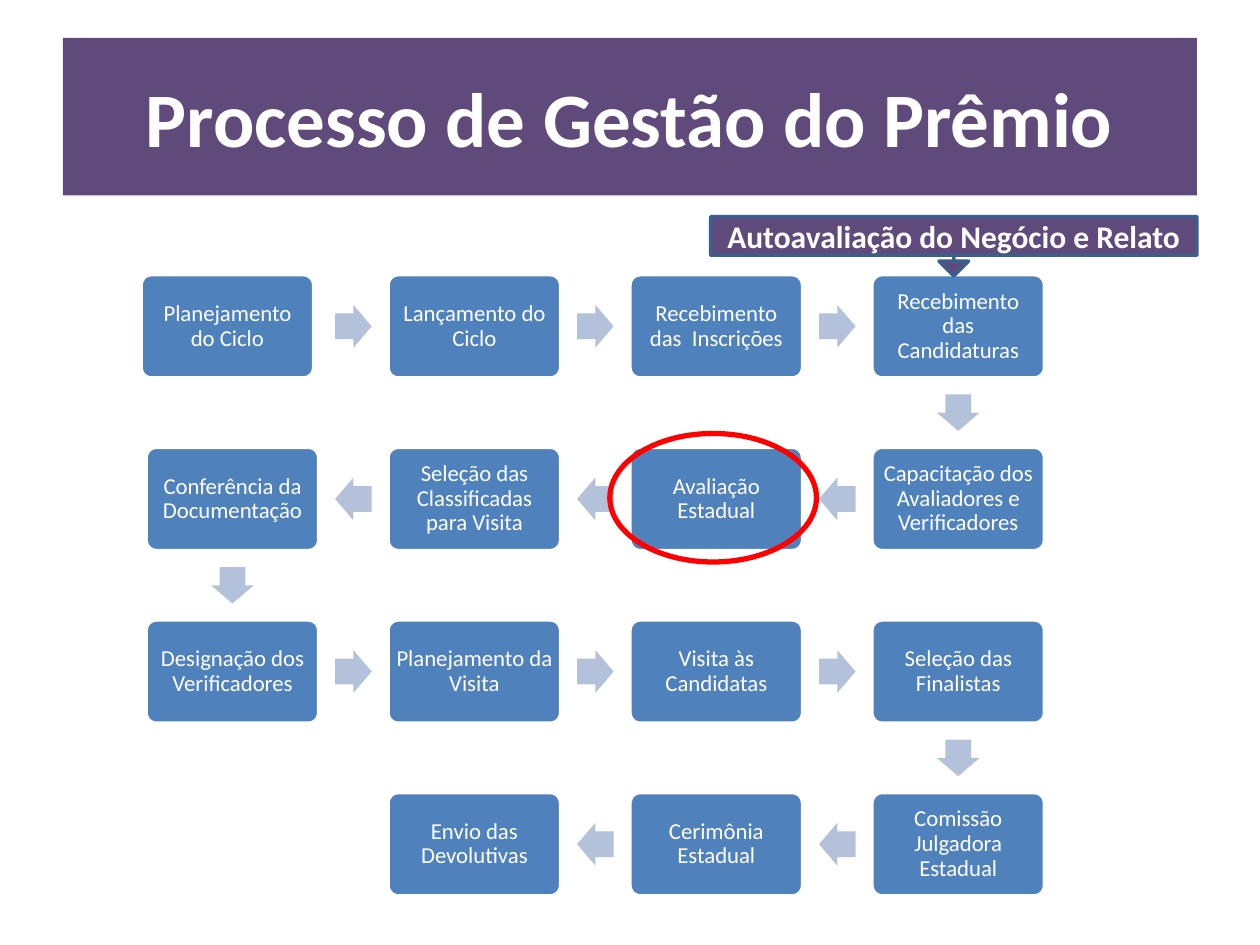
from dataclasses import dataclass

from pptx import Presentation
from pptx import util as u
from pptx.dml import color
from pptx.enum import shapes, text

SLIDE_WIDTH, SLIDE_HEIGHT = 10, 7.5
FONT = "Calibri"
COLORS = {
    "purple": "604A7B",
    "blue": "4F81BD",
    "dark_blue": "3A5F8C",
    "pale_blue": "B3C1DB",
    "white": "FFFFFF",
    "red": "FF0000",
}

# Grid of the process, in inches
COLUMNS = 4
GRID_LEFT, GRID_TOP = 1.16, 2.18
COLUMN_PITCH, ROW_PITCH = 1.92, 1.37
BOX_WIDTH, BOX_HEIGHT = 1.37, 0.82
ARROW_LENGTH, ARROW_BREADTH = 0.29, 0.34

STEPS = [
    "Planejamento do Ciclo",
    "Lançamento do Ciclo",
    "Recebimento das  Inscrições",
    "Recebimento das Candidaturas",
    "Capacitação dos Avaliadores e Verificadores",
    "Avaliação Estadual",
    "Seleção das Classificadas para Visita",
    "Conferência da Documentação",
    "Designação dos Verificadores",
    "Planejamento da Visita",
    "Visita às Candidatas",
    "Seleção das Finalistas",
    "Comissão Julgadora Estadual",
    "Cerimônia Estadual",
    "Envio das Devolutivas",
]


@dataclass(frozen=True)
class Area:
    left: float
    top: float
    width: float
    height: float


@dataclass(frozen=True)
class Step:
    label: str
    column: int
    row: int
    shift: float = 0

    @property
    def center(self) -> tuple[float, float]:
        return (GRID_LEFT + self.column * COLUMN_PITCH + BOX_WIDTH / 2,
                GRID_TOP + self.row * ROW_PITCH + BOX_HEIGHT / 2)


def rgb(name: str) -> color.RGBColor:
    return color.RGBColor.from_string(COLORS[name])


def centered(x: float, y: float, width: float, height: float) -> Area:
    return Area(x - width / 2, y - height / 2, width, height)


def add_shape(slide, kind, area: Area, fill: str | None = None,
              line: str | None = None, line_width: float = 2,
              adjustments: tuple[float, ...] = ()):
    shape = slide.shapes.add_shape(
        kind, *(u.Inches(n) for n in (area.left, area.top, area.width, area.height)))
    shape.shadow.inherit = False
    for index, value in enumerate(adjustments):
        shape.adjustments[index] = value
    if fill:
        shape.fill.solid()
        shape.fill.fore_color.rgb = rgb(fill)
    else:
        shape.fill.background()
    if line:
        shape.line.color.rgb = rgb(line)
        shape.line.width = u.Pt(line_width)
    else:
        shape.line.fill.background()
    return shape


def write(shape, label: str, size: float, bold: bool = False,
          line_spacing: float = 1.0, inset: float | None = None) -> None:
    frame = shape.text_frame
    frame.word_wrap = True
    frame.vertical_anchor = text.MSO_ANCHOR.MIDDLE
    if inset is not None:
        frame.margin_left = frame.margin_right = u.Inches(inset)
        frame.margin_top = frame.margin_bottom = u.Inches(inset)
    paragraph = frame.paragraphs[0]
    paragraph.alignment = text.PP_ALIGN.CENTER
    paragraph.line_spacing = line_spacing
    run = paragraph.add_run()
    run.text = label
    run.font.name = FONT
    run.font.size = u.Pt(size)
    run.font.bold = bold
    run.font.color.rgb = rgb("white")


def place_steps(labels: list[str]) -> list[Step]:
    """Lay the steps out in rows that run alternately right and left."""
    steps = []
    for index, label in enumerate(labels):
        row, column = divmod(index, COLUMNS)
        if row % 2:
            column = COLUMNS - 1 - column
        steps.append(Step(label, column, row, shift=0 if index else -0.04))
    return steps


def draw_step(slide, step: Step) -> None:
    x, y = step.center
    box = add_shape(slide, shapes.MSO_SHAPE.ROUNDED_RECTANGLE,
                    centered(x + step.shift, y, BOX_WIDTH, BOX_HEIGHT),
                    fill="blue", line="white", adjustments=(0.1,))
    write(box, step.label, 13, line_spacing=0.9, inset=0.04)


def draw_arrow(slide, start: Step, end: Step) -> None:
    """Put a block arrow halfway between two neighbouring steps."""
    x, y = ((a + b) / 2 for a, b in zip(start.center, end.center))
    arrow = add_shape(slide, shapes.MSO_SHAPE.RIGHT_ARROW,
                      centered(x, y, ARROW_LENGTH, ARROW_BREADTH),
                      fill="pale_blue", adjustments=(0.6, 0.5))
    if end.row > start.row:
        arrow.rotation = 90
    elif end.column < start.column:
        arrow.rotation = 180


def main() -> None:
    presentation = Presentation()
    presentation.slide_width = u.Inches(SLIDE_WIDTH)
    presentation.slide_height = u.Inches(SLIDE_HEIGHT)
    slide = presentation.slides.add_slide(presentation.slide_layouts[6])

    # Title band
    margin = SLIDE_WIDTH * 0.05
    title = add_shape(slide, shapes.MSO_SHAPE.RECTANGLE,
                      Area(margin, SLIDE_HEIGHT * 0.04, SLIDE_WIDTH - 2 * margin, 1.25),
                      fill="purple")
    write(title, "Processo de Gestão do Prêmio", 44, bold=True)

    # Process steps and the arrows between them
    steps = place_steps(STEPS)
    for step in steps:
        draw_step(slide, step)
    for start, end in zip(steps, steps[1:]):
        draw_arrow(slide, start, end)

    # Callout above the applications step
    callout_width = 3.86
    callout = add_shape(slide, shapes.MSO_SHAPE.DOWN_ARROW_CALLOUT,
                        Area(SLIDE_WIDTH - margin - callout_width, 1.72, callout_width, 0.47),
                        fill="purple", line="dark_blue",
                        adjustments=(0, 0.25, 0.25, 0.65))
    write(callout, "Autoavaliação do Negócio e Relato", 18, bold=True)

    # Highlight around the state evaluation
    add_shape(slide, shapes.MSO_SHAPE.OVAL, Area(4.84, 3.44, 1.64, 1.02),
              line="red", line_width=3)

    presentation.save("out.pptx")


if __name__ == "__main__":
    main()
